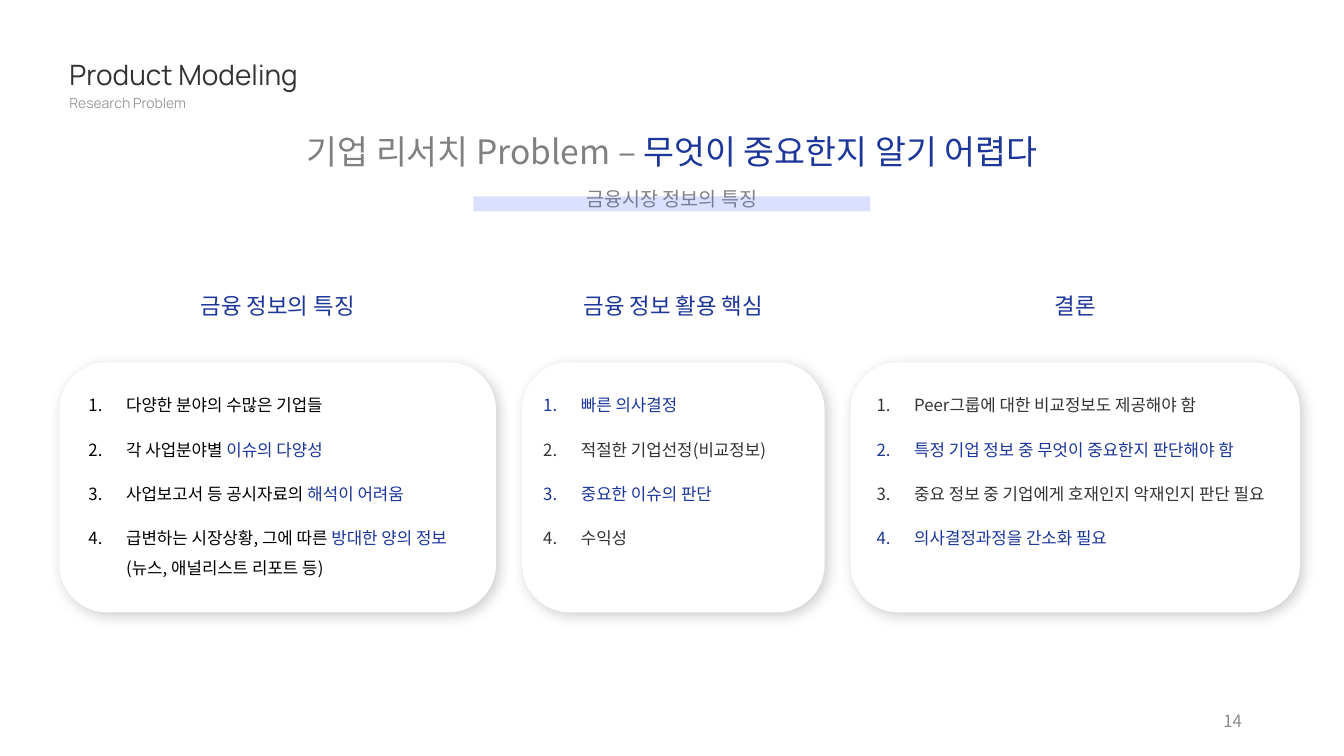
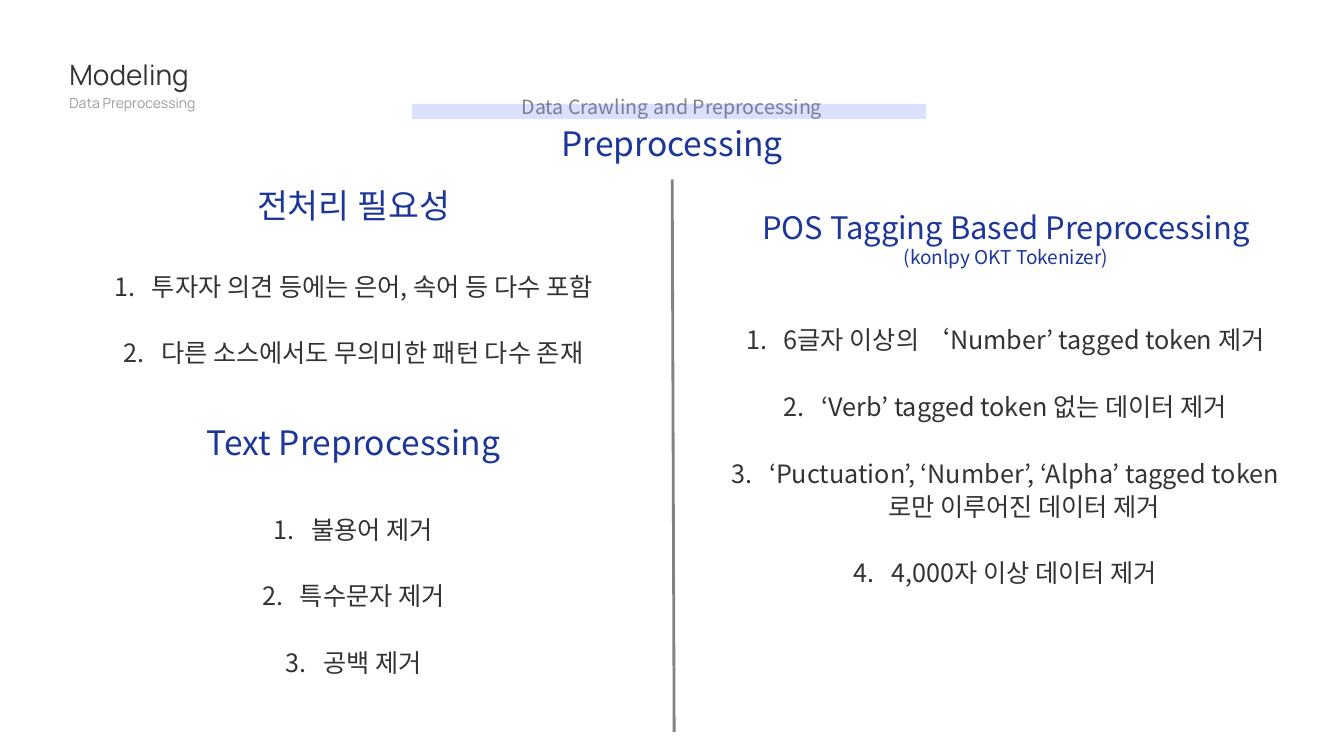
from lxml import etree
from pptx import Presentation
from pptx import util as u
from pptx.dml.color import RGBColor
from pptx.enum import shapes, text
from pptx.oxml.ns import qn

Cm, Pt = u.Cm, u.Pt
LATIN, KOREAN = "Manrope", "Noto Sans CJK KR"
NAVY, DARK, BLACK, WHITE = "1C3699", "333333", "000000", "FFFFFF"
GRAY, MID_GRAY, PALE_GRAY, PAGE_GRAY = "808080", "828282", "9C9C9C", "8C8C8C"
HIGHLIGHT = "4A65F6"
LEFT, CENTER, RIGHT = text.PP_ALIGN.LEFT, text.PP_ALIGN.CENTER, text.PP_ALIGN.RIGHT
SLIDE_WIDTH, SLIDE_HEIGHT = 33.87, 19.05

# A paragraph is a list of (text, colour) runs; lengths are in centimetres.
PROBLEM_HEADLINE = [("기업 리서치 Problem – ", GRAY), ("무엇이 중요한지 알기 어렵다", NAVY)]
CARDS = [
    {"heading": "금융 정보의 특징", "left": 1.5, "width": 11, "text_left": 1.98, "text_width": 10.2,
     "items": [
         [("다양한 분야의 수많은 기업들", BLACK)],
         [("각 사업분야별 ", BLACK), ("이슈의 다양성", NAVY)],
         [("사업보고서 등 공시자료의 ", BLACK), ("해석이 어려움", NAVY)],
         [("급변하는 시장상황, 그에 따른 ", BLACK), ("방대한 양의 정보 ", NAVY),
          ("(뉴스, 애널리스트 리포트 등)", BLACK)]]},
    {"heading": "금융 정보 활용 핵심", "left": 13.16, "width": 7.62, "text_left": 13.44, "text_width": 7.1,
     "items": [
         [("빠른 의사결정", NAVY)],
         [("적절한 기업선정(비교정보)", DARK)],
         [("중요한 이슈의 판단", NAVY)],
         [("수익성", DARK)]]},
    {"heading": "결론", "left": 21.44, "width": 11.32, "text_left": 21.84, "text_width": 10.6,
     "items": [
         [("Peer그룹에 대한 비교정보도 제공해야 함", DARK)],
         [("특정 기업 정보 중 무엇이 중요한지 판단해야 함", NAVY)],
         [("중요 정보 중 기업에게 호재인지 악재인지 판단 필요", DARK)],
         [("의사결정과정을 간소화 필요", NAVY)]]},
]
SECTIONS = [("전처리 필요성", 4.65), ("Text Preprocessing", 10.62)]
TAGGING_HEADING = [("POS Tagging Based Preprocessing", 22.1), ("(konlpy OKT Tokenizer)", 13.6)]
STEP_LISTS = [
    (1.22, 6.63, 4.75, ["투자자 의견 등에는 은어, 속어 등 다수 포함",
                        "다른 소스에서도 무의미한 패턴 다수 존재"]),
    (1.22, 12.75, 4.75, ["불용어 제거", "특수문자 제거", "공백 제거"]),
    (17.65, 7.98, 8.97, ["6글자 이상의 ‘Number’ tagged token 제거",
                         "‘Verb’ tagged token 없는 데이터 제거",
                         "‘Puctuation’, ‘Number’, ‘Alpha’ tagged token\n로만 이루어진 데이터 제거",
                         "4,000자 이상 데이터 제거"]),
]


def color(value):
    return RGBColor.from_string(value)


def add_box(page, left, top, width, height):
    box = page.shapes.add_textbox(Cm(left), Cm(top), Cm(width), Cm(height))
    box.text_frame.word_wrap = True
    return box.text_frame


def add_runs(para, runs, size, font):
    for words, tint in runs:
        for index, line in enumerate(words.split("\n")):
            if index:
                para.add_line_break()
            span = para.add_run()
            span.text = line
            span.font.size = Pt(size)
            span.font.name = font
            span.font.color.rgb = color(tint)
            east_asian = etree.SubElement(span.font._element, qn("a:ea"))
            east_asian.set("typeface", font)


def add_paragraphs(frame, paragraphs, size, spacing=1.0, align=LEFT, font=KOREAN,
                   numbered=False, gap=0):
    """Fill an empty text frame; gap is the space in points between paragraphs."""
    for index, runs in enumerate(paragraphs):
        para = frame.add_paragraph() if index else frame.paragraphs[0]
        if numbered:
            properties = para._p.get_or_add_pPr()
            properties.set("marL", str(Cm(0.95)))
            properties.set("indent", str(-Cm(0.95)))
            etree.SubElement(properties, qn("a:buAutoNum")).set("type", "arabicPeriod")
        para.alignment = align
        para.line_spacing = spacing
        if index:
            para.space_before = Pt(gap)
        add_runs(para, runs, size, font)


def add_heading(page, words, left, top, width, size):
    add_paragraphs(add_box(page, left, top, width, 1.04), [[(words, NAVY)]], size, 0.9, CENTER)


def add_plain_shape(page, kind, left, top, width, height, fill):
    shape = page.shapes.add_shape(kind, Cm(left), Cm(top), Cm(width), Cm(height))
    shape.shadow.inherit = False
    shape.fill.solid()
    shape.fill.fore_color.rgb = color(fill)
    shape.line.fill.background()
    return shape


def set_alpha(color_element, percent):
    etree.SubElement(color_element, qn("a:alpha")).set("val", str(percent * 1000))


def add_page(deck, title, subtitle, headline, headline_top):
    page = deck.slides.add_slide(deck.slide_layouts[6])
    add_paragraphs(add_box(page, 1.5, 1.5, 13, 1), [[(title, DARK)]], 20, 0.8, font=LATIN)
    add_paragraphs(add_box(page, 1.5, 2.3, 8.4, 1), [[(subtitle, PALE_GRAY)]], 10, 0.9, font=LATIN)
    add_paragraphs(add_box(page, 2.11, headline_top, 29.65, 1.42), [headline], 24, 0.9, CENTER)
    return page


def add_caption(page, words, top, bar_left, bar_width):
    """Centred caption with a translucent bar across its lower half."""
    width = 18.3
    frame = add_box(page, (SLIDE_WIDTH - width) / 2, top, width, 1.04)
    add_paragraphs(frame, [[(words, MID_GRAY)]], 14, 1.5, CENTER)
    bar = add_plain_shape(page, shapes.MSO_SHAPE.RECTANGLE, bar_left, top + 0.66,
                          bar_width, 0.38, HIGHLIGHT)
    set_alpha(bar._element.spPr.find(".//" + qn("a:srgbClr")), 20)


def add_card(page, card):
    add_heading(page, card["heading"], card["left"], 7.31, card["width"], 16)
    panel = add_plain_shape(page, shapes.MSO_SHAPE.ROUNDED_RECTANGLE, card["left"], 9.13,
                            card["width"], 6.3, WHITE)
    panel.adjustments[0] = 0.19
    effects = panel._element.spPr.find(qn("a:effectLst"))
    shadow = etree.SubElement(effects, qn("a:outerShdw"), blurRad=str(Pt(10)), dist=str(Pt(3)),
                              dir="2700000", algn="tl", rotWithShape="0")
    set_alpha(etree.SubElement(shadow, qn("a:srgbClr"), val=BLACK), 20)
    frame = add_box(page, card["text_left"], 9.58, card["text_width"], 5.4)
    add_paragraphs(frame, card["items"], 12, 1.5, numbered=True, gap=10)


def build_problem(deck):
    page = add_page(deck, "Product Modeling", "Research Problem", PROBLEM_HEADLINE, 3.28)
    add_caption(page, "금융시장 정보의 특징", 4.29, 11.93, 10)
    for card in CARDS:
        add_card(page, card)
    frame = add_box(page, 23.93, 17.65, 7.62, 1.02)
    frame.vertical_anchor = text.MSO_ANCHOR.MIDDLE
    add_paragraphs(frame, [[("14", PAGE_GRAY)]], 12, align=RIGHT)


def build_preprocessing(deck):
    page = add_page(deck, "Modeling", "Data Preprocessing", [("Preprocessing", NAVY)], 3.1)
    add_caption(page, "Data Crawling and Preprocessing", 1.96, 10.39, 12.95)
    divider = page.shapes.add_connector(shapes.MSO_CONNECTOR.STRAIGHT,
                                        Cm(16.94), Cm(4.52), Cm(16.99), Cm(18.44))
    divider.line.color.rgb = color(MID_GRAY)
    divider.line.width = Pt(2)
    etree.SubElement(divider._element.spPr, qn("a:effectLst"))
    for words, top in SECTIONS:
        add_heading(page, words, 2.41, top, 13, 24)
    frame = add_box(page, 18.29, 5.13, 14.12, 1.83)
    for index, (words, size) in enumerate(TAGGING_HEADING):
        para = frame.add_paragraph() if index else frame.paragraphs[0]
        para.alignment = CENTER
        add_runs(para, [(words, NAVY)], size, KOREAN)
    for left, top, height, steps in STEP_LISTS:
        add_paragraphs(add_box(page, left, top, 15.37, height), [[(step, DARK)] for step in steps],
                       18, 1.1, CENTER, numbered=True, gap=23.8)


def main():
    deck = Presentation()
    deck.slide_width, deck.slide_height = Cm(SLIDE_WIDTH), Cm(SLIDE_HEIGHT)
    build_problem(deck)
    build_preprocessing(deck)
    deck.save("out.pptx")


if __name__ == "__main__":
    main()
